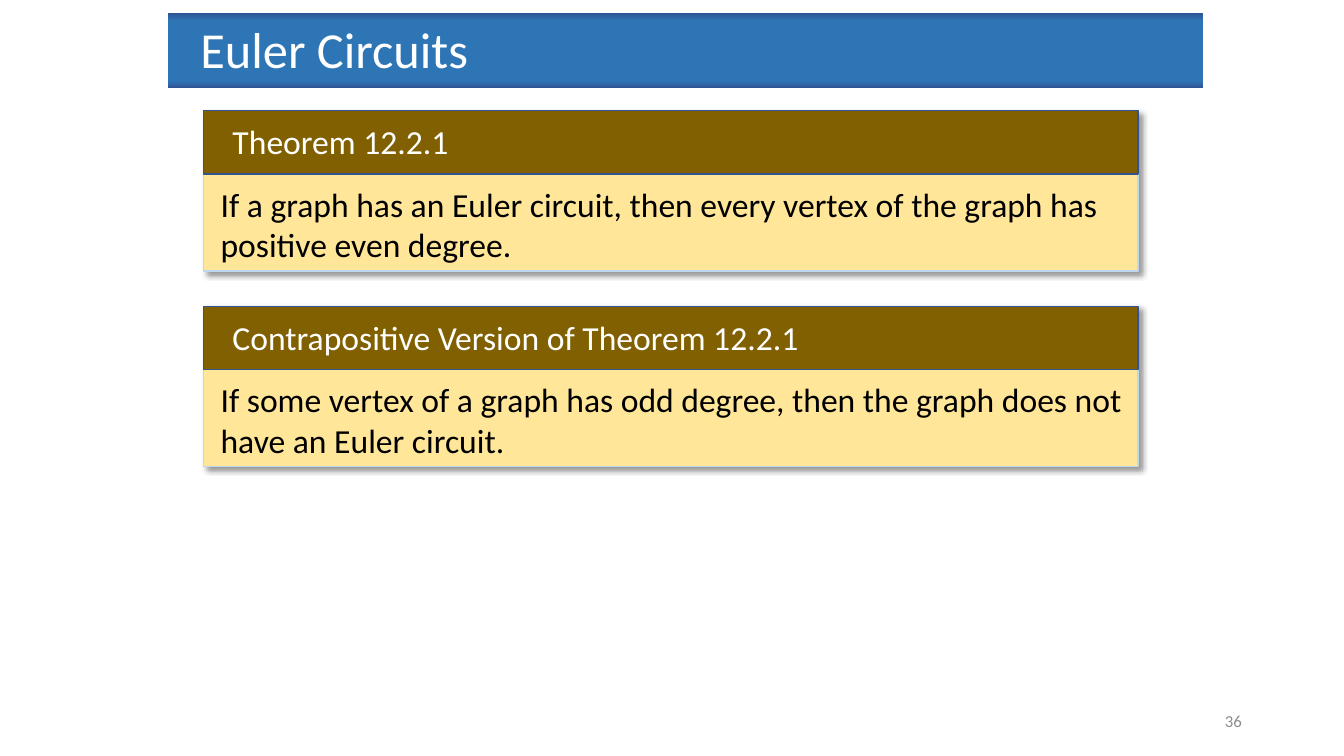
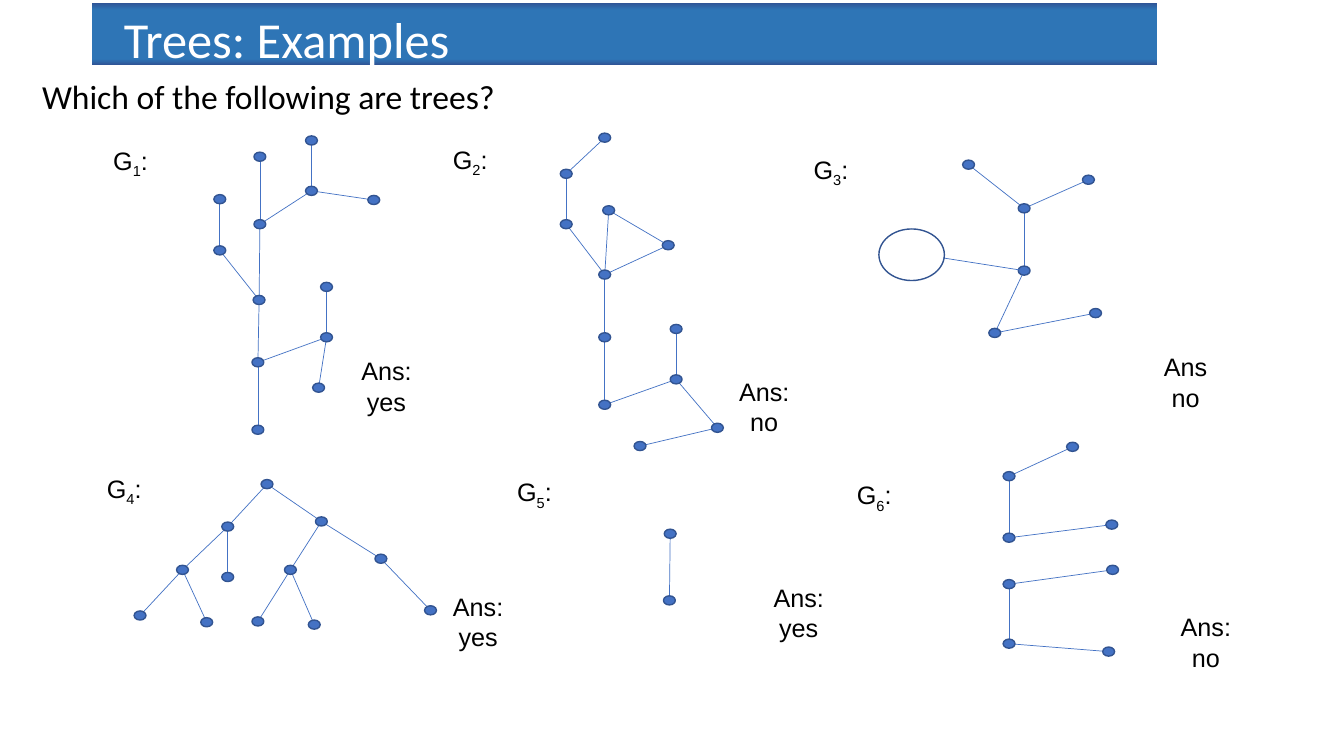
"""Build two lecture slides on Euler circuits and trees."""
from lxml.etree import SubElement
from pptx import Presentation
from pptx.dml.color import RGBColor
from pptx.enum.shapes import MSO_CONNECTOR, MSO_SHAPE
from pptx.enum.text import MSO_ANCHOR, MSO_AUTO_SIZE, PP_ALIGN
from pptx.oxml.ns import qn
from pptx.util import Cm, Pt

BLACK, WHITE, GRAY = "000000", "FFFFFF", "8C8C8C"
NODE, OUTLINE = "4472C4", "325491"
BAND_STOPS = [(0, "2F5597"), (11, "2E75B6"), (91, "2E75B6"), (100, "2F5597")]
HEADER, PANEL, PANEL_LINE = "806000", "FFE699", "BDD7EE"
LETTERS = "ABCDEFGHIJKLM"
DOT_WIDTH, DOT_HEIGHT = 0.3, 0.23

CARDS = [
    (2.79, "Theorem 12.2.1",
     "If a graph has an Euler circuit, then every vertex of the graph has positive even degree."),
    (7.72, "Contrapositive Version of Theorem 12.2.1",
     "If some vertex of a graph has odd degree, then the graph does not have an Euler circuit."),
]

GRAPHS = [
    {"label": (2.34, 3.53), "answer": (8.79, 8.84, "Ans:\vyes"),
     "vertices": [(5.54, 5.02), (5.54, 6.31), (6.55, 5.65), (6.55, 3.95), (6.5, 10.83),
                  (6.5, 9.13), (6.53, 7.56), (7.85, 3.54), (7.85, 4.81), (9.42, 5.04),
                  (8.23, 7.23), (8.23, 8.5), (8.03, 9.77)],
     "edges": "AB BG CG DC EF FG HI IC JI KL LF ML"},
    {"label": (10.9, 3.51), "answer": (18.31, 9.35, "Ans:\vno"),
     "vertices": [(14.27, 4.38), (14.27, 5.65), (15.34, 5.3), (15.24, 3.47), (15.24, 10.2),
                  (15.24, 8.5), (15.24, 6.92), (16.84, 6.18), (17.04, 8.29), (17.04, 9.56),
                  (18.08, 10.78), (16.13, 11.24)],
     "edges": "AB BG CG DA EF FG LK HC GH IJ JE KJ"},
    {"label": (19.99, 3.76), "answer": (28.93, 8.74, "Ans\vno"),
     "vertices": [(24.41, 4.15), (25.07, 8.39), (25.81, 6.82), (25.81, 5.25), (27.43, 4.53),
                  (27.61, 7.89)],
     "edges": "AD BC CD DE FB"},
    {"label": (2.18, 11.79), "answer": (11.1, 14.78, "Ans:\vyes"),
     "vertices": [(5.74, 13.27), (5.74, 14.54), (6.73, 12.2), (6.5, 15.66), (7.32, 14.36),
                  (8.1, 13.14), (7.92, 15.74), (9.6, 14.08), (10.85, 15.38), (4.6, 14.36),
                  (3.53, 15.51), (5.21, 15.68)],
     "edges": "AB AC CF DE EF EG HF IH JA JL KJ"},
    {"label": (12.52, 11.89), "answer": (19.18, 14.55, "Ans:\vyes"),
     "vertices": [(16.89, 13.45), (16.87, 15.13)],
     "edges": "AB"},
    {"label": (21.08, 11.96), "answer": (29.44, 15.29, "Ans:\vno"),
     "vertices": [(25.43, 13.55), (25.43, 12), (27.03, 11.26), (27.94, 16.42), (28.02, 13.22),
                  (25.43, 14.72), (28.04, 14.36), (25.43, 16.22)],
     "edges": "AB BC DH EA GF HF"},
]


def color(value):
    """Turn a hex string into a colour."""
    return RGBColor.from_string(value)


def lengths(*values):
    """Turn numbers of centimetres into lengths."""
    return [Cm(value) for value in values]


class Deck:
    """Hold the presentation, its style and the current slide."""

    def __init__(self):
        """Start a widescreen presentation."""
        self.presentation = Presentation()
        self.presentation.slide_width, self.presentation.slide_height = lengths(33.87, 19.05)
        self.slide = None

    def add_slide(self, title, box):
        """Add a slide whose title is a gradient band."""
        self.slide = self.presentation.slides.add_slide(self.presentation.slide_layouts[5])
        shape = self.slide.shapes.title
        shape.left, shape.top, shape.width, shape.height = lengths(*box)
        shape.fill.gradient()
        shape.fill.gradient_angle = 270
        stops = shape._element.spPr.find(qn("a:gradFill")).find(qn("a:gsLst"))
        for stop in list(stops):
            stops.remove(stop)
        for position, value in BAND_STOPS:
            stop = SubElement(stops, qn("a:gs"), pos=str(position * 1000))
            SubElement(stop, qn("a:srgbClr"), val=value)
        frame = shape.text_frame
        frame.text = title
        frame.auto_size = MSO_AUTO_SIZE.NONE
        frame.vertical_anchor = MSO_ANCHOR.TOP
        frame.margin_left = Cm(0.81)
        self.style(frame.paragraphs[0], 36, WHITE)

    def style(self, paragraph, size, value, font="Calibri", align=PP_ALIGN.LEFT):
        """Set the font and alignment of a paragraph."""
        paragraph.alignment = align
        paragraph.font.name = font
        paragraph.font.size = Pt(size)
        paragraph.font.color.rgb = color(value)

    def text(self, box, text, size=24, value=BLACK, shapes=None, **style):
        """Add a wrapped text box and return its paragraph."""
        frame = (shapes or self.slide.shapes).add_textbox(*lengths(*box)).text_frame
        frame.word_wrap = True
        paragraph = frame.paragraphs[0]
        paragraph.text = text
        self.style(paragraph, size, value, **style)
        return paragraph

    def shape(self, kind, box, fill, line, shapes=None):
        """Add an outlined shape, hollow when fill is None."""
        shape = (shapes or self.slide.shapes).add_shape(kind, *lengths(*box))
        shape.shadow.inherit = False
        if fill:
            shape.fill.solid()
            shape.fill.fore_color.rgb = color(fill)
        else:
            shape.fill.background()
        shape.line.color.rgb = color(line)
        shape.line.width = Pt(1)
        return shape

    def shadow(self, shape):
        """Give a shape a soft shadow to the lower right."""
        effects = shape._element.spPr.find(qn("a:effectLst"))
        outer = SubElement(effects, qn("a:outerShdw"), blurRad=str(Pt(4)), dist=str(Pt(3)),
                           dir="2700000", algn="tl", rotWithShape="0")
        value = SubElement(outer, qn("a:srgbClr"), val=BLACK)
        SubElement(value, qn("a:alpha"), val="40000")

    def card(self, top, heading, body):
        """Add a grouped theorem card with a dark header."""
        shapes = self.slide.shapes.add_group_shape().shapes
        left, width = 5.13, 23.55
        panel = self.shape(MSO_SHAPE.RECTANGLE, (left, top, width, 4.04), PANEL, PANEL_LINE, shapes)
        self.shadow(panel)
        self.shape(MSO_SHAPE.RECTANGLE, (left, top, width, 1.6), HEADER, OUTLINE, shapes)
        self.text((left + 0.48, top + 0.13, 19.66, 1.27), heading, value=WHITE, shapes=shapes)
        self.text((left + 0.18, top + 1.71, 23.37, 2.31), body, shapes=shapes)

    def edge(self, start, end):
        """Add a thin line between two points."""
        connector = self.slide.shapes.add_connector(
            MSO_CONNECTOR.STRAIGHT, *lengths(*start, *end))
        connector.line.color.rgb = color(NODE)
        connector.line.width = Pt(0.5)
        SubElement(connector._element.spPr, qn("a:effectLst"))

    def graph(self, number, label, answer, vertices, edges):
        """Add a labelled graph and its answer."""
        points = dict(zip(LETTERS, vertices))
        for start, end in edges.split():
            self.edge(points[start], points[end])
        for x, y in vertices:
            box = (x - DOT_WIDTH / 2, y - DOT_HEIGHT / 2, DOT_WIDTH, DOT_HEIGHT)
            self.shape(MSO_SHAPE.OVAL, box, NODE, OUTLINE)
        style = {"size": 18, "font": "Arial", "align": PP_ALIGN.CENTER}
        paragraph = self.text((*label, 1.9, 1.02), "G", **style)
        subscript = paragraph.add_run()
        subscript.text = str(number)
        subscript._r.get_or_add_rPr().set("baseline", "-25000")
        paragraph.add_run().text = ":"
        left, top, words = answer
        self.text((left, top, 1.9, 1.8), words, **style)

    def page_number(self, number):
        """Add the slide number at the lower right."""
        paragraph = self.text((23.93, 17.65, 7.62, 1.02), str(number), 12, GRAY,
                              align=PP_ALIGN.RIGHT)
        self.slide.shapes[-1].text_frame.vertical_anchor = MSO_ANCHOR.MIDDLE
        return paragraph


def main():
    """Build and save both slides."""
    deck = Deck()
    deck.add_slide("Euler Circuits", (4.24, 0.33, 26.09, 1.88))
    for card in CARDS:
        deck.card(*card)
    deck.page_number(36)

    deck.add_slide("Trees: Examples", (2.31, 0.08, 26.85, 1.55))
    deck.text((0.81, 1.8, 22.17, 1.27), "Which of the following are trees?")
    for number, graph in enumerate(GRAPHS, 1):
        deck.graph(number, **graph)
    deck.edge((25.81, 6.82), (23.77, 6.5))
    deck.shape(MSO_SHAPE.OVAL, (22.15, 5.77, 1.65, 1.3), None, OUTLINE)
    deck.presentation.save("out.pptx")


if __name__ == "__main__":
    main()
